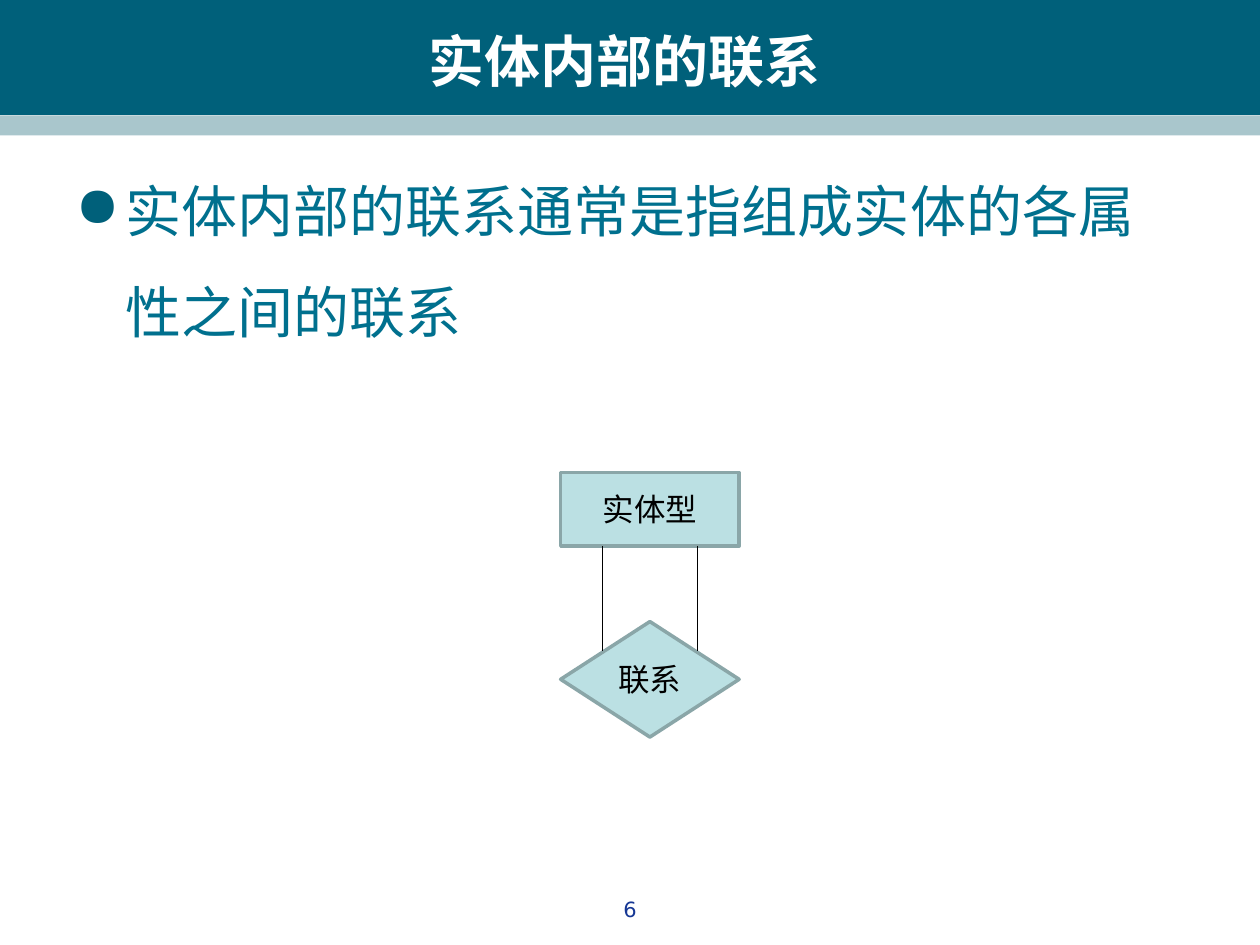
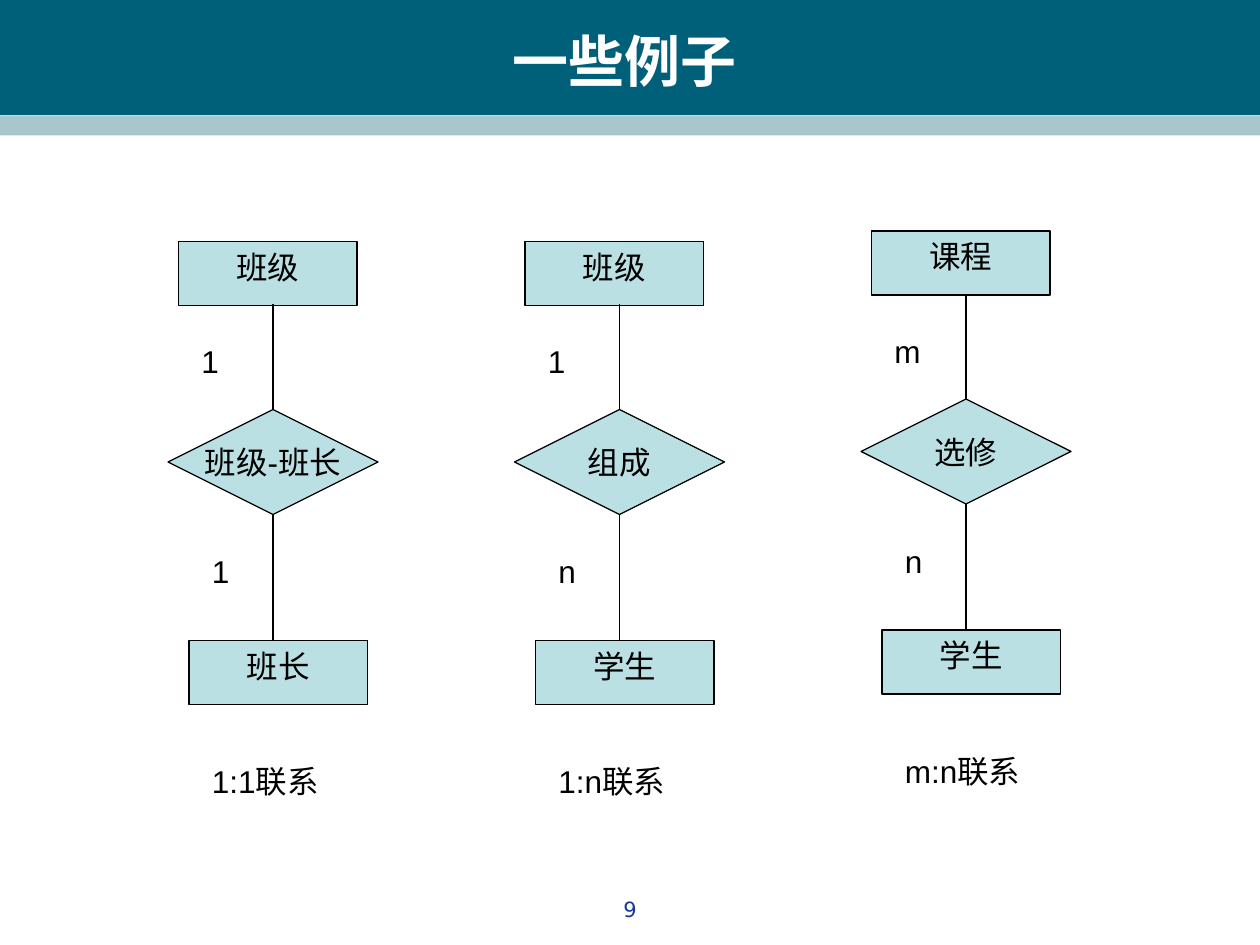
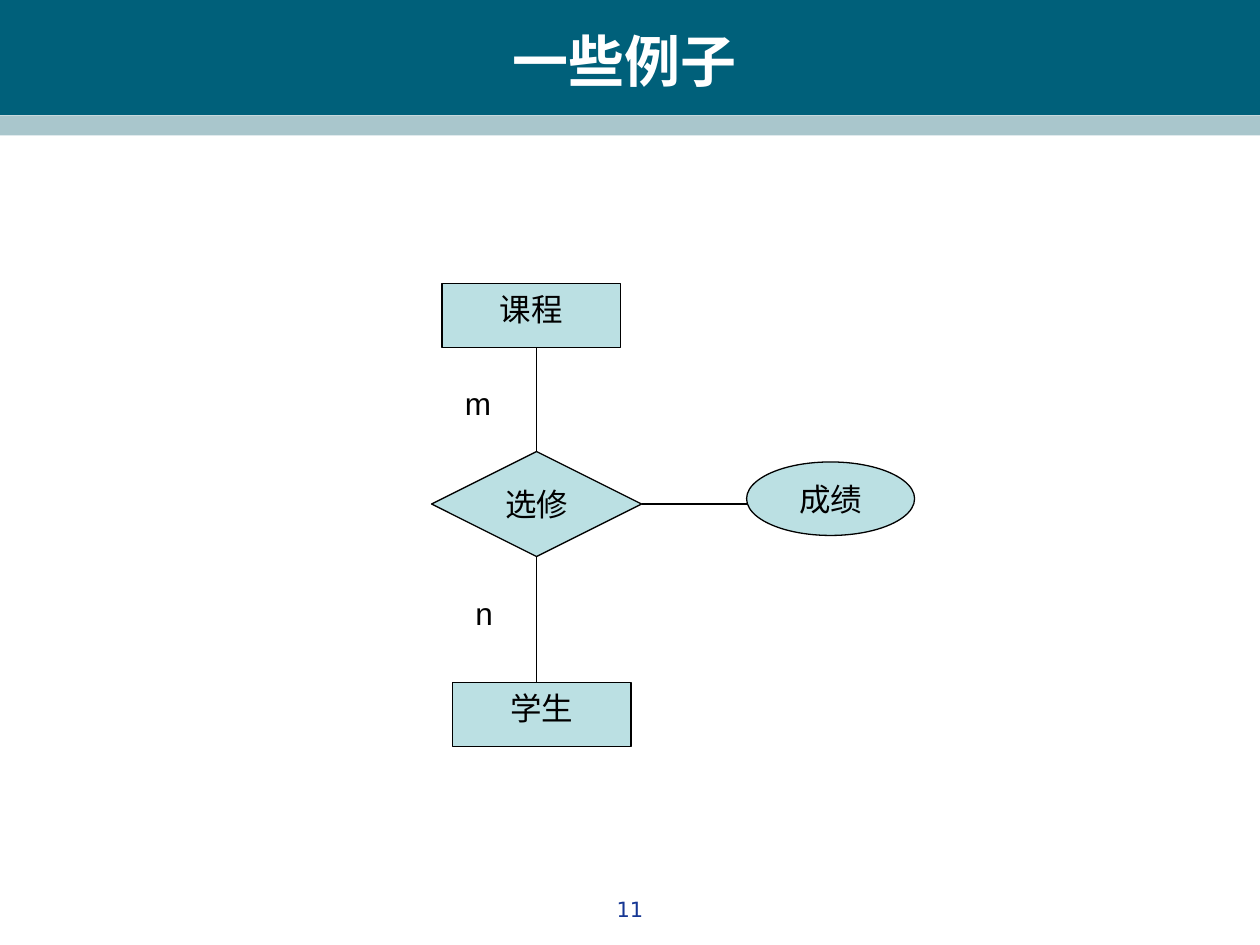
from dataclasses import dataclass

from lxml.etree import SubElement
from pptx import Presentation
from pptx.dml.color import RGBColor
from pptx.enum.shapes import MSO_CONNECTOR as Connector, MSO_SHAPE as Shape
from pptx.enum.text import MSO_ANCHOR as Anchor, MSO_AUTO_SIZE as AutoSize, PP_ALIGN as Align
from pptx.oxml.ns import qn
from pptx.util import Inches, Pt

COLUMNS, ROWS = 120, 90
TOP, BOTTOM, RIGHT = 0, 2, 3


@dataclass(frozen=True)
class Theme:
    """Colours, fonts, type sizes and line widths of the deck."""

    band: str = "00607A"
    stripe: str = "A9C6CC"
    body: str = "00708E"
    number: str = "163794"
    node: str = "BBE0E3"
    border: str = "8AA6A8"
    ink: str = "000000"
    paper: str = "FFFFFF"
    text_font: str = "Arial"
    title_font: str = "DejaVu Sans"
    large: int = 32
    medium: int = 18
    small: int = 12
    thin: float = 0.75
    thick: float = 2


def write_text(box, text, font, size, color, bold=False, align=Align.LEFT,
               anchor=Anchor.TOP, wrap=True, grow=False):
    """Write one formatted paragraph into a box and return it."""
    frame = box.text_frame
    frame.word_wrap = wrap
    frame.vertical_anchor = anchor
    frame.auto_size = AutoSize.SHAPE_TO_FIT_TEXT if grow else AutoSize.NONE
    para = frame.paragraphs[0]
    para.alignment = align
    span = para.add_run()
    span.text = text
    span.font.name = font
    span.font.size = Pt(size)
    span.font.bold = bold
    span.font.color.rgb = RGBColor.from_string(color)
    return para


def add_bullet(para, color, indent):
    """Give a paragraph a coloured round bullet and a hanging indent."""
    props = para._p.get_or_add_pPr()
    props.set("marL", str(indent))
    props.set("indent", str(-indent))
    tint = SubElement(props, qn("a:buClr"))
    SubElement(tint, qn("a:srgbClr")).set("val", color)
    SubElement(props, qn("a:buChar")).set("char", "●")


class Deck:
    """Holds the theme, the grid and the current page."""

    def __init__(self, theme):
        """Start an empty deck of 10 by 7.5 inches."""
        self.theme = theme
        self.file = Presentation()
        self.file.slide_width = Inches(10)
        self.file.slide_height = Inches(7.5)
        self.page = None

    def grid(self, *values):
        """Turn alternating columns and rows into lengths."""
        units = (self.file.slide_width / COLUMNS, self.file.slide_height / ROWS)
        return [round(value * units[i % 2]) for i, value in enumerate(values)]

    def add_page(self, title, number):
        """Add a page with its bands, title and number."""
        theme = self.theme
        self.page = self.file.slides.add_slide(self.file.slide_layouts[6])
        self.shape(Shape.RECTANGLE, (0, 0, COLUMNS, 10.95), theme.band)
        self.shape(Shape.RECTANGLE, (0, 11, COLUMNS, 1.9), theme.stripe)
        self.text((4, 2, 111, 7.4), title, font=theme.title_font, size=theme.large,
                  color=theme.paper, bold=True, align=Align.CENTER, anchor=Anchor.MIDDLE)
        self.text((46, 84.8, 28, 4.2), str(number), font=theme.title_font,
                  size=theme.small, color=theme.number, align=Align.CENTER)

    def shape(self, kind, place, fill, border=None, width=0):
        """Add a flat preset shape."""
        shape = self.page.shapes.add_shape(kind, *self.grid(*place))
        shape.shadow.inherit = False
        shape.fill.solid()
        shape.fill.fore_color.rgb = RGBColor.from_string(fill)
        if border:
            shape.line.color.rgb = RGBColor.from_string(border)
            shape.line.width = Pt(width)
        else:
            shape.line.fill.background()
        return shape

    def text(self, place, text, **form):
        """Add a text box and return its paragraph."""
        return write_text(self.page.shapes.add_textbox(*self.grid(*place)), text, **form)

    def bullet(self, place, text):
        """Add a large bulleted statement."""
        theme = self.theme
        para = self.text(place, text, font=theme.text_font, size=theme.large,
                         color=theme.body, anchor=Anchor.MIDDLE)
        para.line_spacing = 1.5
        para.space_before = Pt(theme.large * 0.2)
        add_bullet(para, theme.band, Inches(0.4))

    def node(self, kind, place, text, border=None, width=None, **form):
        """Add a diagram node with a centred name."""
        theme = self.theme
        node = self.shape(kind, place, theme.node, border or theme.ink, width or theme.thin)
        write_text(node, text, theme.text_font, theme.medium, theme.ink,
                   align=Align.CENTER, **form)
        return node

    def label(self, place, text):
        """Add a plain diagram label."""
        theme = self.theme
        self.text(place, text, font=theme.text_font, size=theme.medium,
                  color=theme.ink, grow=True)

    def line(self, start, end, node=None, side=None):
        """Add a straight line, begun at a side of a node if one is given."""
        line = self.page.shapes.add_connector(Connector.STRAIGHT, *self.grid(*start, *end))
        line.line.color.rgb = RGBColor.from_string(self.theme.ink)
        line.line.width = Pt(self.theme.thin)
        SubElement(line._element.spPr, qn("a:effectLst"))
        if node is not None:
            line.begin_connect(node, side)

    def relation(self, left, top, names, counts, caption=None):
        """Draw two entities joined by a relation and return the relation."""
        upper, link, lower = names
        middle = left + 10
        for x, y, name in ((1, 0, upper), (2, 38, lower)):
            self.node(Shape.RECTANGLE, (left + x, top + y, 17, 6.1), name, grow=True)
        diamond = self.node(Shape.DIAMOND, (left, top + 16, 20, 10), link,
                            anchor=Anchor.MIDDLE, wrap=False)
        self.line((middle, top + 16), (middle, top + 6), diamond, TOP)
        self.line((middle, top + 26), (middle, top + 38), diamond, BOTTOM)
        for x, y, count in zip((2, 3), (9, 29), counts):
            self.label((left + x, top + y, 5, 6), count)
        if caption:
            self.label((left + 3, top + 49, 18, 6), caption)
        return diamond


def draw_inner_relation(deck):
    """Show a relation inside one entity."""
    deck.add_page("实体内部的联系", 6)
    deck.bullet((6, 13.8, 108, 18.8), "实体内部的联系通常是指组成实体的各属性之间的联系")
    for kind, top, height, name in ((Shape.RECTANGLE, 45, 7, "实体型"),
                                    (Shape.DIAMOND, 59.2, 11, "联系")):
        deck.node(kind, (53.4, top, 17, height), name, border=deck.theme.border,
                  width=deck.theme.thick, anchor=Anchor.MIDDLE)
    for x in (57.4, 66.4):
        deck.line((x, 52), (x, 62))


def draw_three_relations(deck):
    """Show one example of each kind of relation."""
    deck.add_page("一些例子", 9)
    examples = (
        (23, ("班级", "班级-班长", "班长"), "11"),
        (23, ("班级", "组成", "学生"), "1n"),
        (22, ("课程", "选修", "学生"), "mn"),
    )
    for i, (top, names, counts) in enumerate(examples):
        deck.relation(16 + 33 * i, top, names, counts, ":".join(counts) + "联系")


def draw_relation_attribute(deck):
    """Show a relation that has an attribute."""
    deck.add_page("一些例子", 11)
    diamond = deck.relation(41.1, 27, ("课程", "选修", "学生"), "mn")
    deck.node(Shape.OVAL, (71.1, 44, 16, 7), "成绩", anchor=Anchor.MIDDLE, wrap=False)
    deck.line((61.1, 48), (71.1, 48), diamond, RIGHT)


def main():
    """Build and save the deck."""
    deck = Deck(Theme())
    draw_inner_relation(deck)
    draw_three_relations(deck)
    draw_relation_attribute(deck)
    deck.file.save("out.pptx")


if __name__ == "__main__":
    main()
